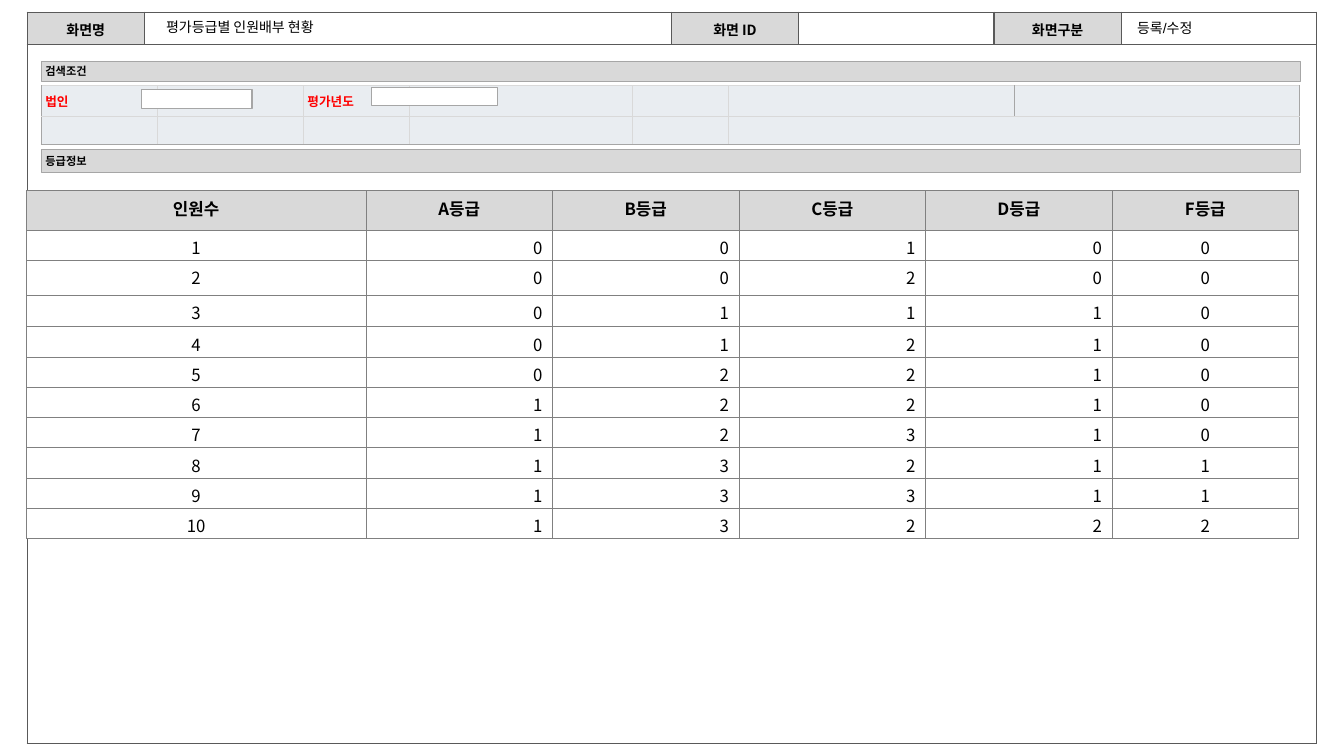
from dataclasses import dataclass

from lxml import etree
from pptx import Presentation
from pptx.dml.color import RGBColor
from pptx.enum.shapes import MSO_SHAPE
from pptx.enum.text import MSO_ANCHOR, PP_ALIGN
from pptx.oxml.ns import qn
from pptx.util import Inches, Pt

RECT = MSO_SHAPE.RECTANGLE
LEFT, CENTER, RIGHT = PP_ALIGN.LEFT, PP_ALIGN.CENTER, PP_ALIGN.RIGHT
TOP, MIDDLE = MSO_ANCHOR.TOP, MSO_ANCHOR.MIDDLE
SIDES = ("L", "R", "T", "B")


@dataclass(frozen=True)
class Theme:
    """Colours, fonts and type sizes of the screen specification."""
    black: str = "000000"
    white: str = "FFFFFF"
    required: str = "FF0000"
    header: str = "D9D9D9"
    search: str = "E9EDF1"
    edge: str = "A6A6A6"
    inner: str = "D9D9D9"
    frame: str = "595959"
    grid: str = "808080"
    latin: str = "Arial"
    korean: str = "Noto Sans CJK KR"
    title_pt: int = 10
    search_pt: int = 9
    bar_pt: int = 8
    grade_pt: int = 12


T = Theme()

FRAME_LABELS = ("화면명", "", "화면 ID", "", "화면구분", "")
SEARCH_LABELS = {0: "법인", 2: "평가년도"}
GRADE_HEADINGS = ("인원수", "A등급", "B등급", "C등급", "D등급", "F등급")
GRADE_ROWS = (
    (1, 0, 0, 1, 0, 0), (2, 0, 0, 2, 0, 0), (3, 0, 1, 1, 1, 0),
    (4, 0, 1, 2, 1, 0), (5, 0, 2, 2, 1, 0), (6, 1, 2, 2, 1, 0),
    (7, 1, 2, 3, 1, 0), (8, 1, 3, 2, 1, 1), (9, 1, 3, 3, 1, 1),
    (10, 1, 3, 2, 2, 2),
)


def write(tf, text, size, color=T.black, bold=False, font=T.korean, align=LEFT):
    """Write one run, or size the empty paragraph when there is no text."""
    p = tf.paragraphs[0]
    p.alignment = align
    if not text:
        etree.SubElement(p._p, qn("a:endParaRPr"), sz=str(size * 100))
        return p
    r = p.add_run()
    r.text = text
    r.font.size, r.font.bold, r.font.name = Pt(size), bold, font
    r.font.color.rgb = RGBColor.from_string(color)
    etree.SubElement(r._r.get_or_add_rPr(), qn("a:ea"), typeface=T.korean)
    return p


def set_insets(box, left, top, right, bottom):
    """Set the four inner margins of a cell or text frame, in inches."""
    box.margin_left, box.margin_top = Inches(left), Inches(top)
    box.margin_right, box.margin_bottom = Inches(right), Inches(bottom)


def style_cell(cell, fill, borders, width, insets, anchor=TOP):
    """Fill a cell and draw its borders, given as a colour for each side."""
    cell.vertical_anchor = anchor
    set_insets(cell, *insets)
    if fill:
        cell.fill.solid()
        cell.fill.fore_color.rgb = RGBColor.from_string(fill)
    else:
        cell.fill.background()
    for i, side in enumerate(SIDES):
        ln = etree.Element(qn(f"a:ln{side}"), w=str(Pt(width)))
        solid = etree.SubElement(ln, qn("a:solidFill"))
        etree.SubElement(solid, qn("a:srgbClr"), val=borders[side])
        cell._tc.get_or_add_tcPr().insert(i, ln)


def add_grid(s, left, top, widths, heights):
    """Add an unbanded table with the given column widths and row heights."""
    shape = s.shapes.add_table(len(heights), len(widths), Inches(left), Inches(top),
                               Inches(sum(widths)), Inches(sum(heights)))
    table = shape.table
    table.first_row = table.horz_banding = False
    for column, width in zip(table.columns, widths):
        column.width = Inches(width)
    for row, height in zip(table.rows, heights):
        row.height = Inches(height)
    return table


def add_box(s, left, top, width, height, fill=T.white):
    """Add a thinly outlined rectangle."""
    sp = s.shapes.add_shape(RECT, Inches(left), Inches(top), Inches(width), Inches(height))
    sp.shadow.inherit = False
    sp.fill.solid()
    sp.fill.fore_color.rgb = RGBColor.from_string(fill)
    sp.line.color.rgb = RGBColor.from_string(T.edge)
    sp.line.width = Pt(0.75)
    return sp


def add_section_bar(s, top, height, text):
    """Add a grey bar that heads a section."""
    tf = add_box(s, 0.41, top, 12.49, height, T.header).text_frame
    tf.vertical_anchor = MIDDLE
    set_insets(tf, 0.04, 0.04, 0.04, 0.04)
    write(tf, text, T.bar_pt, bold=True, font=T.latin)


def add_value(s, left, top, width, text):
    """Add a text box with a value of the screen header."""
    tf = s.shapes.add_textbox(Inches(left), Inches(top), Inches(width), Inches(0.27)).text_frame
    tf.word_wrap = True
    write(tf, text, T.title_pt, font=T.latin)


def add_screen_frame(s):
    """Add the screen header row and the outlined body below it."""
    table = add_grid(s, 0.27, 0.12, (1.16, 5.23, 1.26, 1.94, 1.26, 1.94), (0.31, 6.94))
    borders = dict.fromkeys(SIDES, T.frame)
    for c, label in enumerate(FRAME_LABELS):
        cell = table.cell(0, c)
        style_cell(cell, T.header if label else T.white, borders, 1,
                   (0.06, 0.05, 0.06, 0.05), MIDDLE)
        p = write(cell.text_frame, label, T.title_pt, bold=True, align=CENTER)
        p.line_spacing = 1.1
        style_cell(table.cell(1, c), None, borders, 1, (0.1, 0.05, 0.1, 0.05))
    table.cell(1, 0).merge(table.cell(1, 5))


def add_search_panel(s):
    """Add the search condition grid, darker along its outer edge."""
    table = add_grid(s, 0.41, 0.85, (1.15, 1.45, 1.05, 2.21, 0.96, 2.83, 2.83), (0.28, 0.28))
    last = len(table.columns) - 1
    for r in range(2):
        for c in range(last + 1):
            dark = {"L": c in (0, last), "R": c >= last - 1, "T": False, "B": r == 1}
            borders = {side: T.edge if dark[side] else T.inner for side in SIDES}
            cell = table.cell(r, c)
            style_cell(cell, T.search, borders, 0.75, (0.04, 0.06, 0.04, 0.06))
            label = SEARCH_LABELS.get(c, "") if r == 0 else ""
            write(cell.text_frame, label, T.search_pt, T.required, bold=True)
    table.cell(1, last - 1).merge(table.cell(1, last))


def add_grade_table(s):
    """Add the table of head counts by grade."""
    heights = (0.39, 0.3, 0.35, 0.31) + (0.3,) * 7
    table = add_grid(s, 0.26, 1.89, (3.37,) + (1.85,) * 5, heights)
    borders = dict.fromkeys(SIDES, T.grid)
    for r, values in enumerate((GRADE_HEADINGS,) + GRADE_ROWS):
        for c, value in enumerate(values):
            heading = r == 0
            cell = table.cell(r, c)
            style_cell(cell, T.header if heading else T.white, borders, 0.25,
                       (0.1, 0.05, 0.1, 0.01))
            align = CENTER if heading or c in (0, 5) else RIGHT
            write(cell.text_frame, str(value), T.grade_pt, bold=heading, align=align)


def main():
    """Build the slide and save it."""
    prs = Presentation()
    prs.slide_width, prs.slide_height = Inches(13.33), Inches(7.5)
    s = prs.slides.add_slide(prs.slide_layouts[6])
    add_screen_frame(s)
    add_search_panel(s)
    add_box(s, 1.4, 0.89, 1.1, 0.19)
    add_value(s, 1.55, 0.13, 4.27, "평가등급별 인원배부 현황")
    add_value(s, 11.18, 0.14, 1.57, "등록/수정")
    add_section_bar(s, 0.61, 0.2, "검색조건")
    add_section_bar(s, 1.48, 0.23, "등급정보")
    add_box(s, 3.68, 0.87, 1.25, 0.18)
    add_grade_table(s)
    prs.save("out.pptx")


if __name__ == "__main__":
    main()
